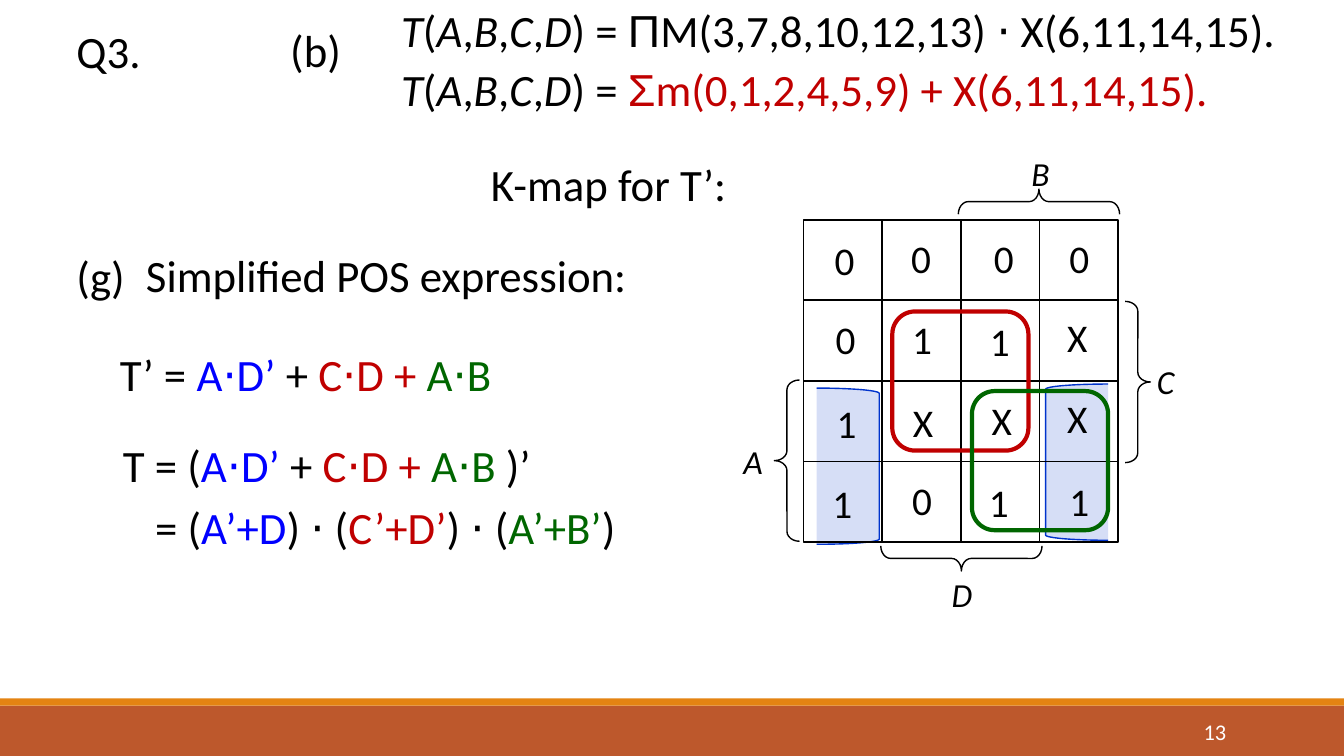
from dataclasses import dataclass
from typing import NamedTuple

from lxml import etree
from pptx import Presentation
from pptx import util as u
from pptx.dml.color import RGBColor
from pptx.enum import shapes, text
from pptx.oxml import ns

PX = 9144  # EMU per px, 100 px to the inch


@dataclass(frozen=True)
class Theme:
    black: str = "000000"
    white: str = "FFFFFF"
    rust: str = "BD582C"
    orange: str = "E48312"
    ink_blue: str = "0033CC"
    blue: str = "0000FF"
    red: str = "C00000"
    green: str = "006600"
    font: str = "Calibri"
    greek_font: str = "Arial"
    body: int = 32
    cell: int = 28
    variable: int = 24
    footer: int = 16


THEME = Theme()
PRESET = shapes.MSO_SHAPE
ALIGN = text.PP_ALIGN


class Box(NamedTuple):
    left: int
    top: int
    width: int
    height: int


class Span(NamedTuple):
    text: str
    color: str = THEME.black
    italic: bool = False
    font: str = THEME.font


class Line(NamedTuple):
    spans: list[Span]
    tab: int = 0


@dataclass(frozen=True)
class Label:
    box: Box
    lines: list[Line]
    size: int = THEME.body
    align: ALIGN = ALIGN.LEFT
    spacing: float = 1.0
    after: int = 0
    anchor: text.MSO_ANCHOR = text.MSO_ANCHOR.TOP


@dataclass(frozen=True)
class Figure:
    preset: PRESET
    box: Box
    fill: str | None = None
    opacity: int = 100
    line: str | None = None
    weight: float = 1
    rotation: int = 0
    curl: float | None = None


def emu(box: Box) -> list[u.Emu]:
    return [u.Emu(length * PX) for length in box]


def draw_figure(page, figure: Figure) -> None:
    shape = page.shapes.add_shape(figure.preset, *emu(figure.box))
    shape.shadow.inherit = False
    shape.rotation = figure.rotation
    if figure.curl is not None:
        shape.adjustments[0] = figure.curl
    if figure.fill:
        shape.fill.solid()
        shape.fill.fore_color.rgb = RGBColor.from_string(figure.fill)
        if figure.opacity < 100:
            color = shape.element.spPr.find(".//" + ns.qn("a:srgbClr"))
            etree.SubElement(color, ns.qn("a:alpha"), val=str(figure.opacity * 1000))
    else:
        shape.fill.background()
    if figure.line:
        shape.line.color.rgb = RGBColor.from_string(figure.line)
        shape.line.width = u.Pt(figure.weight)
    else:
        shape.line.fill.background()


def draw_label(page, label: Label) -> None:
    frame = page.shapes.add_textbox(*emu(label.box)).text_frame
    frame.word_wrap = True
    frame.vertical_anchor = label.anchor
    for index, line in enumerate(label.lines):
        para = frame.add_paragraph() if index else frame.paragraphs[0]
        if line.tab:
            tabs = etree.SubElement(para._p.get_or_add_pPr(), ns.qn("a:tabLst"))
            etree.SubElement(tabs, ns.qn("a:tab"), pos=str(line.tab * PX), algn="l")
        para.alignment = label.align
        para.line_spacing = label.spacing
        para.space_after = u.Pt(label.after)
        para.font.size = u.Pt(label.size)
        for span in line.spans:
            run = para.add_run()
            run.text = span.text
            run.font.name = span.font
            run.font.italic = span.italic
            run.font.color.rgb = RGBColor.from_string(span.color)


def body_label(box: Box, *spans: Span) -> Label:
    return Label(box, [Line(list(spans))], spacing=0.9)


def centred_label(box: Box, value: str, size: int, italic: bool = False) -> Label:
    return Label(box, [Line([Span(value, italic=italic)])], size, ALIGN.CENTER)


def function_label(box: Box, symbol: str, terms: str, color: str) -> Label:
    head = [Span(mark, italic=mark.isalpha()) for mark in "T(A,B,C,D"]
    return body_label(box, *head, Span(") = "),
                      Span(symbol, color, font=THEME.greek_font), Span(terms, color))


# Footer bands and page number
FOOTER = [
    Figure(PRESET.RECTANGLE, Box(0, 700, 1333, 50), THEME.rust),
    Figure(PRESET.RECTANGLE, Box(0, 693, 1333, 7), THEME.orange),
]
PAGE_NUMBER = Label(Box(1083, 706, 143, 40), [Line([Span("13", THEME.white)])],
                    THEME.footer, ALIGN.RIGHT, anchor=text.MSO_ANCHOR.MIDDLE)

# K-map: shaded wrap-around group, grid, braces and outlined groups
WRAP_GROUP = [
    Figure(preset, Box(left, top, 62, 155), THEME.ink_blue, 16, THEME.ink_blue)
    for preset, left, top in [(PRESET.LEFT_BRACKET, 1037, 381),
                              (PRESET.RIGHT_BRACKET, 810, 385)]
]
GRID = [
    Figure(PRESET.RECTANGLE, Box(797 + 78 * col, 218 + 80 * row, 78, 80),
           line=THEME.black, weight=1.25)
    for row in range(4) for col in range(4)
]
BRACES = [
    Figure(preset, Box(left, top, 25, 160), line=THEME.black, rotation=turn, curl=0.389)
    for preset, left, top, turn in [(PRESET.RIGHT_BRACE, 1116, 299, 0),
                                    (PRESET.LEFT_BRACE, 768, 377, 0),
                                    (PRESET.RIGHT_BRACE, 1018, 120, 270),
                                    (PRESET.RIGHT_BRACE, 941, 474, 90)]
]
GROUP_OUTLINES = [
    Figure(PRESET.ROUNDED_RECTANGLE, Box(left, top, 135, 138), line=color, weight=3)
    for left, top, color in [(885, 309, THEME.red), (964, 388, THEME.green)]
]
VARIABLES = [
    centred_label(Box(left, top, 52, 50), name, THEME.variable, italic=True)
    for name, left, top in [("A", 721, 433), ("B", 1006, 147),
                            ("C", 1130, 353), ("D", 928, 564)]
]
CELL_VALUES = [
    centred_label(Box(left, top, 79, 57), value, THEME.cell)
    for value, left, top in [
        ("0", 798, 230), ("0", 874, 228), ("0", 956, 228), ("0", 1031, 228),
        ("0", 799, 308), ("1", 875, 308), ("1", 952, 310), ("X", 1029, 306),
        ("1", 800, 391), ("X", 876, 390), ("X", 954, 388), ("X", 1029, 386),
        ("1", 796, 471), ("0", 875, 468), ("1", 951, 470), ("1", 1031, 469),
    ]
]

# Headings and expressions
HEADINGS = [
    body_label(box, Span(words)) for words, box in [
        ("Q3.", Box(66, 25, 97, 72)),
        ("(b)", Box(278, 24, 86, 72)),
        ("K-map for T’:", Box(477, 157, 330, 72)),
        ("(g)", Box(66, 248, 86, 72)),
        ("Simplified POS expression:", Box(135, 247, 514, 72)),
    ]
]
FUNCTIONS = [
    function_label(Box(388, 4, 922, 72), "Π",
                   "M(3,7,8,10,12,13) ⋅ X(6,11,14,15).", THEME.black),
    function_label(Box(388, 62, 857, 72), "Σ",
                   "m(0,1,2,4,5,9) + X(6,11,14,15).", THEME.red),
]
SUM_START = [Span("A⋅D’ ", THEME.blue), Span("+ "), Span("C⋅D + ", THEME.red)]
COMPLEMENT = body_label(Box(109, 345, 442, 72), Span("T’ = "), *SUM_START,
                        Span("A⋅B", THEME.green))
PRODUCT = Label(Box(112, 429, 591, 164), [
    Line([Span("T = ("), *SUM_START, Span("A⋅B ", THEME.green), Span(")’")]),
    Line([Span("\t= ("), Span("A’+D", THEME.blue), Span(") ⋅ ("),
          Span("C’+D’", THEME.red), Span(") ⋅ ("),
          Span("A’+B’", THEME.green), Span(")")], tab=32),
], after=6)


def main() -> None:
    deck = Presentation()
    deck.slide_width, deck.slide_height = u.Emu(1333 * PX), u.Emu(750 * PX)
    page = deck.slides.add_slide(deck.slide_layouts[6])
    for figure in FOOTER + WRAP_GROUP + GRID + BRACES:
        draw_figure(page, figure)
    for label in HEADINGS + VARIABLES + CELL_VALUES + FUNCTIONS:
        draw_label(page, label)
    for label in (COMPLEMENT, PRODUCT, PAGE_NUMBER):
        draw_label(page, label)
    for outline in GROUP_OUTLINES:
        draw_figure(page, outline)
    deck.save("out.pptx")


if __name__ == "__main__":
    main()
